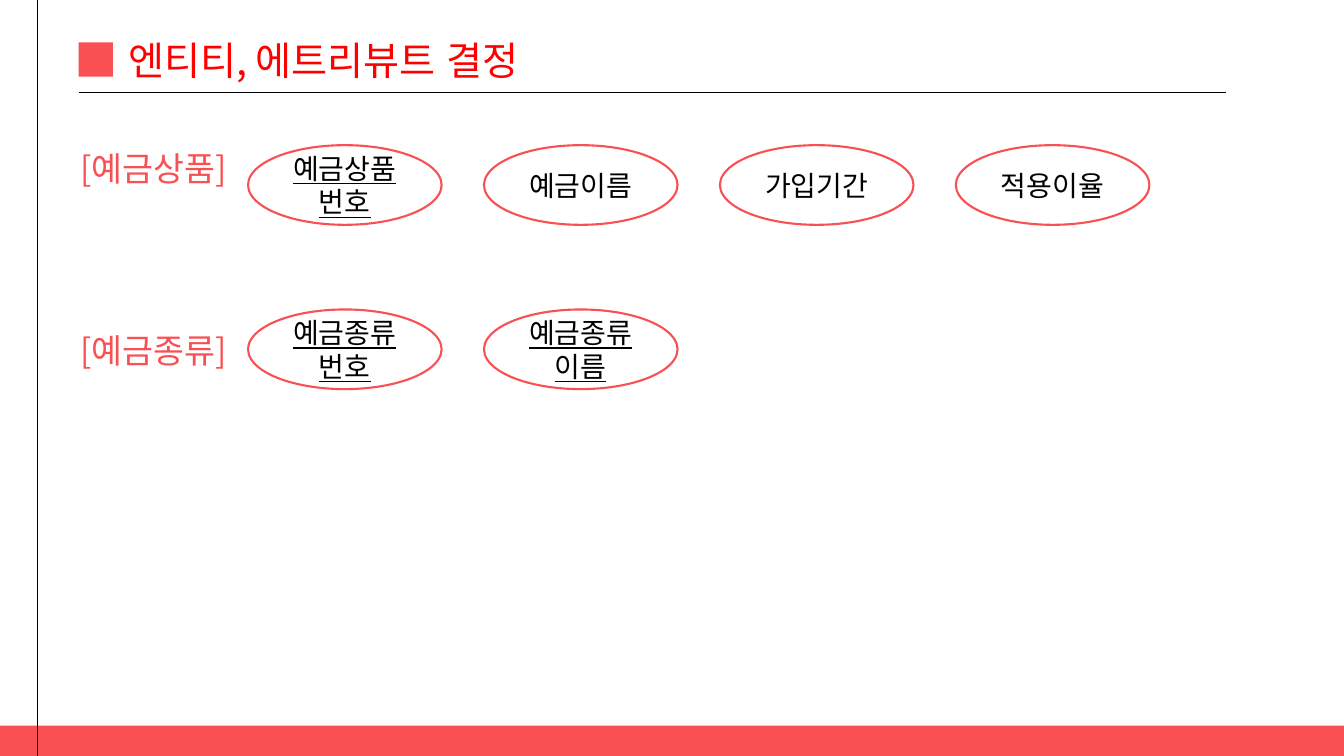
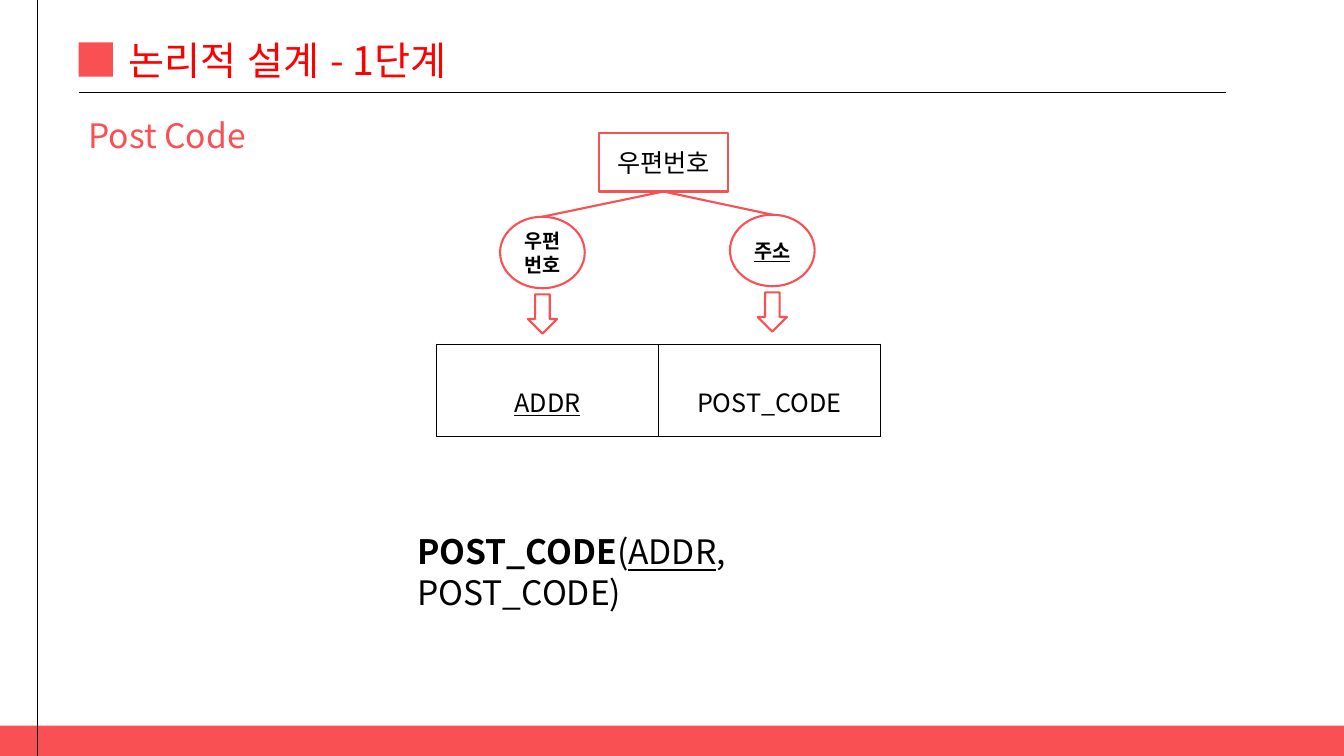
"""Build two database design slides: entity attributes and a logical design step."""
import pptx
import pptx.dml.color
import pptx.enum.lang
import pptx.enum.shapes
import pptx.enum.text
import pptx.oxml
import pptx.oxml.ns
import pptx.util
from pptx.util import Inches, Pt

FONT = "Noto Sans CJK KR"
COLORS = {"accent": "F95054", "title": "FF0000", "black": "000000", "white": "FFFFFF"}
SHAPE = pptx.enum.shapes.MSO_SHAPE
ALIGN = pptx.enum.text.PP_ALIGN
ANCHOR = pptx.enum.text.MSO_ANCHOR

ENTITY_TITLE = "엔티티, 에트리뷰트 결정"
ENTITIES = [
    {"name": "[예금상품]", "label_top": 1.42, "top": 1.44,
     "attributes": [("예금상품 번호", True), ("예금이름", False),
                    ("가입기간", False), ("적용이율", False)]},
    {"name": "[예금종류]", "label_top": 3.22, "top": 3.07,
     "attributes": [("예금종류번호", True), ("예금종류이름", True)]},
]

LOGICAL_TITLE = "논리적 설계 - 1단계"
TABLE_NAME = "Post Code"
ENTITY = "우편번호"
ATTRIBUTES = [("우편번호", False, 4.96, 2.15), ("주소", True, 7.24, 2.13)]
COLUMNS = [("ADDR", True), ("POST_CODE", False)]
SCHEMA = [("POST_CODE", {"bold": True}), ("(", {}),
          ("ADDR", {"underline": True}), (", POST_CODE)", {})]


def rgb(name):
    return pptx.dml.color.RGBColor.from_string(COLORS[name])


def write(tf, text, size=20, color="black", bold=False, underline=False, align=ALIGN.LEFT):
    """Append one formatted run to the first paragraph and return the paragraph."""
    p = tf.paragraphs[0]
    p.alignment = align
    r = p.add_run()
    r.text = text
    font = r.font
    font.name, font.size = FONT, Pt(size)
    font.bold, font.underline = bold, underline
    font.color.rgb = rgb(color)
    font.language_id = pptx.enum.lang.MSO_LANGUAGE_ID.KOREAN
    ea = pptx.oxml.parse_xml(f'<a:ea {pptx.oxml.ns.nsdecls("a")} typeface="{FONT}"/>')
    r._r.rPr.find(pptx.oxml.ns.qn("a:latin")).addnext(ea)
    return p


def add_shape(s, kind, x, y, w, h, fill=None, line=None, text=None, **style):
    sp = s.shapes.add_shape(kind, Inches(x), Inches(y), Inches(w), Inches(h))
    sp.shadow.inherit = False
    if fill:
        sp.fill.solid()
        sp.fill.fore_color.rgb = rgb(fill)
    else:
        sp.fill.background()
    if line:
        sp.line.color.rgb = rgb(line)
        sp.line.width = Pt(1.5)
    else:
        sp.line.fill.background()
    if text:
        sp.text_frame.word_wrap = True
        sp.text_frame.vertical_anchor = ANCHOR.MIDDLE
        write(sp.text_frame, text, align=ALIGN.CENTER, **style)
    return sp


def add_line(s, x1, y1, x2, y2, color="black", width=1):
    ln = s.shapes.add_connector(pptx.enum.shapes.MSO_CONNECTOR.STRAIGHT,
                                Inches(x1), Inches(y1), Inches(x2), Inches(y2))
    ln.line.color.rgb = rgb(color)
    ln.line.width = Pt(width)
    ln._element.spPr.append(pptx.oxml.parse_xml(f'<a:effectLst {pptx.oxml.ns.nsdecls("a")}/>'))


def add_text(s, x, y, w, h, runs, **style):
    tf = s.shapes.add_textbox(Inches(x), Inches(y), Inches(w), Inches(h)).text_frame
    tf.word_wrap = True
    for text, extra in runs:
        write(tf, text, **style, **extra)


def add_slide(prs, title):
    s = prs.slides.add_slide(prs.slide_layouts[5])
    add_shape(s, SHAPE.RECTANGLE, 0, 7.2, 13.33, 0.3, fill="accent")
    add_line(s, 0.37, 0, 0.37, 7.5)
    add_line(s, 0.78, 0.92, 12.16, 0.92)
    add_shape(s, SHAPE.RECTANGLE, 0.78, 0.42, 0.34, 0.34, fill="accent")
    sp = s.shapes.title
    sp.left, sp.top, sp.width, sp.height = Inches(1.17), Inches(0.31), Inches(4.91), Inches(0.57)
    tf = sp.text_frame
    tf.auto_size = pptx.enum.text.MSO_AUTO_SIZE.NONE
    tf.vertical_anchor = ANCHOR.TOP
    write(tf, title, size=28, color="title")
    return s


def add_columns(s, x, y, w, h):
    shape = s.shapes.add_table(1, len(COLUMNS), Inches(x), Inches(y), Inches(w), Inches(h))
    table = shape.table
    table.first_row = table.horz_banding = False
    for cell, (text, key) in zip(table.rows[0].cells, COLUMNS):
        cell.vertical_anchor = ANCHOR.MIDDLE
        cell.margin_left = cell.margin_right = Inches(0.07)
        cell.margin_top = cell.margin_bottom = Inches(0.02)
        p = write(cell.text_frame, text, size=18, underline=key, align=ALIGN.CENTER)
        p.line_spacing = 1.6
        tcPr = cell._tc.get_or_add_tcPr()
        for side in ("lnL", "lnR", "lnT", "lnB"):
            tcPr.append(pptx.oxml.parse_xml(
                f'<a:{side} {pptx.oxml.ns.nsdecls("a")} w="{Pt(0.28)}"><a:solidFill>'
                f'<a:srgbClr val="{COLORS["black"]}"/></a:solidFill></a:{side}>'))
        cell.fill.background()


def build_entities(prs):
    s = add_slide(prs, ENTITY_TITLE)
    for entity in ENTITIES:
        add_text(s, 0.7, entity["label_top"], 3.54, 0.84, [(entity["name"], {})],
                 size=24, color="accent")
        for i, (text, key) in enumerate(entity["attributes"]):
            add_shape(s, SHAPE.OVAL, 2.46 + 2.34 * i, entity["top"], 1.92, 0.79,
                      line="accent", text=text, underline=key)


def build_logical_design(prs):
    s = add_slide(prs, LOGICAL_TITLE)
    add_text(s, 0.78, 1.09, 3.54, 0.84, [(TABLE_NAME, {})], size=24, color="accent")
    add_columns(s, 4.33, 3.41, 4.4, 0.92)
    box_x, box_y, box_w, box_h = 5.94, 1.32, 1.28, 0.58
    oval_w, oval_h, arrow_w = 0.84, 0.71, 0.29
    for text, key, x, y in ATTRIBUTES:
        center = x + oval_w / 2
        add_shape(s, SHAPE.OVAL, x, y, oval_w, oval_h, line="accent",
                  text=text, size=14, bold=True, underline=key)
        add_line(s, center, y, box_x + box_w / 2, box_y + box_h, "accent", 1.5)
        add_shape(s, SHAPE.DOWN_ARROW, center - arrow_w / 2, y + 0.77, arrow_w, 0.39,
                  fill="white", line="accent")
    add_shape(s, SHAPE.RECTANGLE, box_x, box_y, box_w, box_h, fill="white",
              line="accent", text=ENTITY, size=18)
    add_text(s, 4.04, 5.22, 5.26, 0.5, SCHEMA, size=24)


def main():
    prs = pptx.Presentation()
    prs.slide_width, prs.slide_height = Inches(13.33), Inches(7.5)
    build_entities(prs)
    build_logical_design(prs)
    prs.save("out.pptx")


if __name__ == "__main__":
    main()
